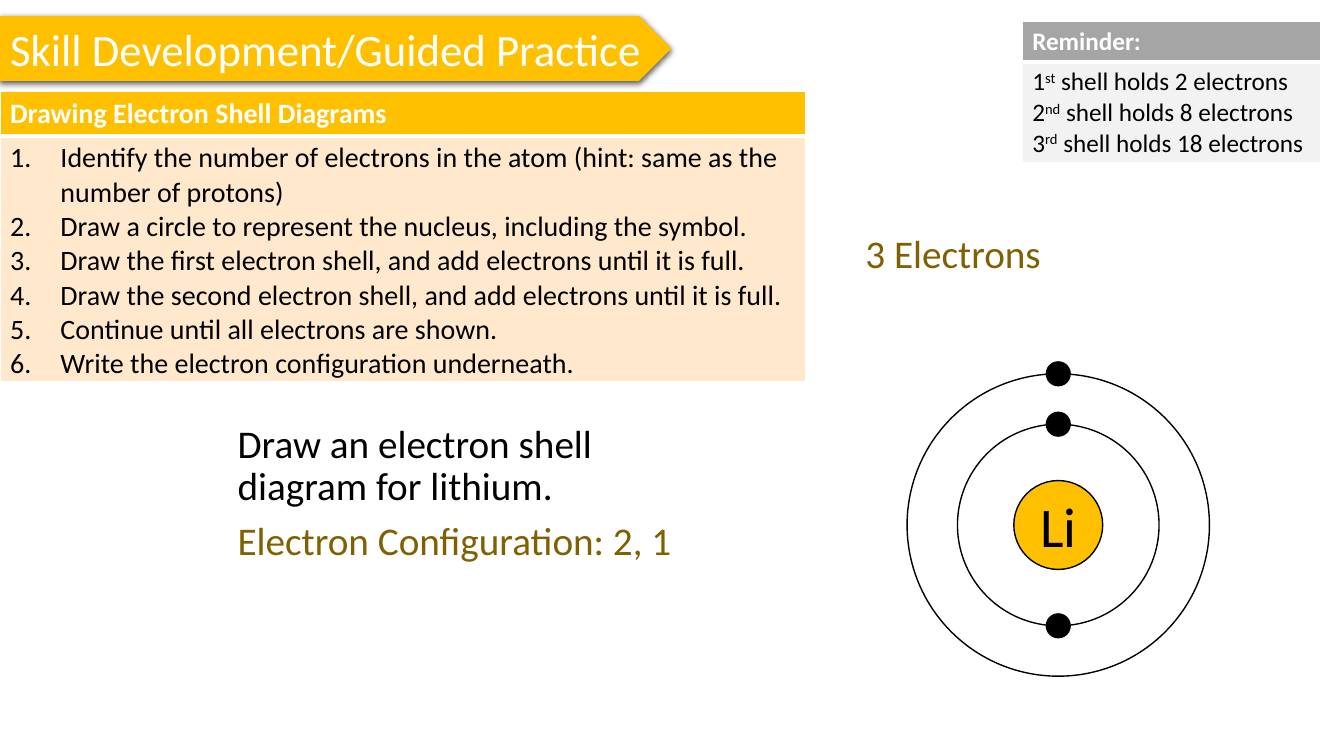
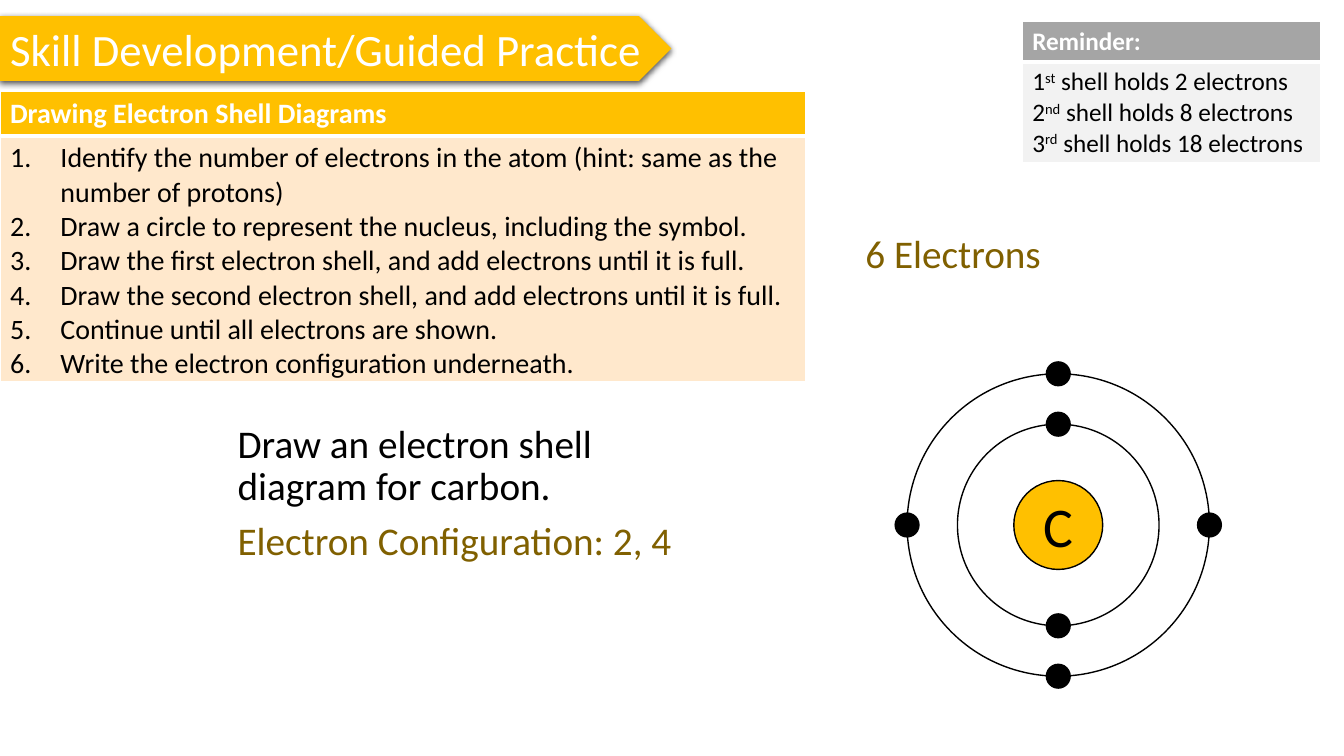
from math import cos, radians, sin

from lxml import etree
from pptx import Presentation
from pptx import util as u
from pptx.dml import color as dml
from pptx.enum import shapes, text
from pptx.oxml import ns

COLORS = {
    "gold": "FFC000",
    "cream": "FFE8CC",
    "grey": "A5A5A5",
    "pale": "F2F2F2",
    "answer": "806000",
    "black": "000000",
    "white": "FFFFFF",
}
FONT = "Calibri"
STEPS = [
    "Identify the number of electrons in the atom (hint: same as the number of protons)",
    "Draw a circle to represent the nucleus, including the symbol.",
    "Draw the first electron shell, and add electrons until it is full.",
    "Draw the second electron shell, and add electrons until it is full.",
    "Continue until all electrons are shown.",
    "Write the electron configuration underneath.",
]
CAPACITIES = [("1", "st", 2), ("2", "nd", 8), ("3", "rd", 18)]
ELEMENTS = [("lithium", "Li", (2, 1)), ("carbon", "C", (2, 4))]
SHELL_RADII = (2.54, 3.81)
CENTER = (26.67, 13.23)


def rgb(name):
    """Return the palette colour called name."""
    return dml.RGBColor.from_string(COLORS[name])


def write(paragraph, words, size, color="black", bold=False, raised=False):
    """Add one formatted run to a paragraph."""
    run = paragraph.add_run()
    run.text = words
    run.font.name = FONT
    run.font.size = u.Pt(size)
    run.font.bold = bold
    run.font.color.rgb = rgb(color)
    if raised:
        run.font._element.set("baseline", "30000")


def add_xml(parent, tag, **attributes):
    """Append a drawing element to parent and return it."""
    return etree.SubElement(parent, ns.qn(f"a:{tag}"), attributes)


def paragraphs(frame, count):
    """Yield count paragraphs, starting with the one the frame has."""
    yield frame.paragraphs[0]
    for _ in range(count - 1):
        yield frame.add_paragraph()


class Lesson:
    """Hold the lesson style and the slide being built."""

    def __init__(self):
        """Start an empty widescreen presentation."""
        self.deck = Presentation()
        self.deck.slide_width = u.Cm(33.87)
        self.deck.slide_height = u.Cm(19.05)
        self.slide = None

    def start(self, heading):
        """Add a slide with its heading on an arrow banner."""
        self.slide = self.deck.slides.add_slide(self.deck.slide_layouts[5])
        place = [u.Cm(n) for n in (0, 0.41, 16.92, 1.63)]
        banner = self.slide.shapes.add_shape(shapes.MSO_SHAPE.PENTAGON, *place)
        banner.fill.solid()
        banner.fill.fore_color.rgb = rgb("gold")
        banner.line.fill.background()
        banner.shadow.inherit = False
        effects = banner._element.spPr.find(ns.qn("a:effectLst"))
        shadow = add_xml(effects, "outerShdw", blurRad="57150", dist="19050",
                         dir="5400000", algn="ctr", rotWithShape="0")
        shade = add_xml(shadow, "srgbClr", val=COLORS["black"])
        add_xml(shade, "alpha", val="63000")
        title = self.slide.shapes.title
        title._element.addprevious(banner._element)
        title.left, title.top, title.width, title.height = place
        frame = title.text_frame
        frame.auto_size = text.MSO_AUTO_SIZE.NONE
        frame.word_wrap = False
        frame.vertical_anchor = text.MSO_ANCHOR.MIDDLE
        frame.paragraphs[0].alignment = text.PP_ALIGN.LEFT
        write(frame.paragraphs[0], heading, 32, "white")

    def note(self, words, left, top, width, color):
        """Add a large line of text."""
        box = self.slide.shapes.add_textbox(*map(u.Cm, (left, top, width, 2.18)))
        box.text_frame.word_wrap = True
        line = box.text_frame.paragraphs[0]
        line.line_spacing = 0.9
        line.space_after = u.Pt(12)
        write(line, words, 28, color)

    def panel(self, heading, size, place, header_height, fills):
        """Add a two-row table and return the text frame of its body."""
        left, top, width, height = place
        table = self.slide.shapes.add_table(2, 1, *map(u.Cm, place)).table
        table.rows[0].height = u.Cm(header_height)
        table.rows[1].height = u.Cm(height - header_height)
        header, body = table.cell(0, 0), table.cell(1, 0)
        for cell, fill, thick in ((header, fills[0], "lnB"), (body, fills[1], "lnT")):
            cell.fill.solid()
            cell.fill.fore_color.rgb = rgb(fill)
            self.outline(cell, thick)
        write(header.text_frame.paragraphs[0], heading, size, "white", bold=True)
        return body.text_frame

    def outline(self, cell, thick):
        """Give a cell white borders, with one thick side."""
        properties = cell._tc.get_or_add_tcPr()
        for index, side in enumerate(("lnL", "lnR", "lnT", "lnB")):
            weight = u.Pt(3 if side == thick else 1)
            border = add_xml(properties, side, w=str(weight))
            add_xml(add_xml(border, "solidFill"), "srgbClr", val=COLORS["white"])
            properties.insert(index, border)

    def steps(self):
        """Add the numbered drawing steps."""
        frame = self.panel("Drawing Electron Shell Diagrams", 20,
                           (0, 2.31, 20.29, 7.29), 1.12, ("gold", "cream"))
        for line, step in zip(paragraphs(frame, len(STEPS)), STEPS):
            layout = line._p.get_or_add_pPr()
            layout.set("marL", str(u.Cm(1.27)))
            layout.set("indent", str(u.Cm(-1.27)))
            add_xml(layout, "buAutoNum", type="arabicPeriod")
            write(line, step, 20)

    def reminder(self):
        """Add the shell capacities."""
        frame = self.panel("Reminder:", 18, (25.76, 0.53, 7.52, 3.58), 1.03,
                           ("grey", "pale"))
        for line, capacity in zip(paragraphs(frame, len(CAPACITIES)), CAPACITIES):
            number, ending, limit = capacity
            write(line, number, 18)
            write(line, ending, 18, raised=True)
            write(line, f" shell holds {limit} electrons", 18)

    def circle(self, parent, center, radius, fill=None):
        """Add an outlined circle around a centre."""
        x, y = center
        corner = (x - radius, y - radius, 2 * radius, 2 * radius)
        disc = parent.add_shape(shapes.MSO_SHAPE.OVAL, *map(u.Cm, corner))
        disc.shadow.inherit = False
        disc.line.color.rgb = rgb("black")
        disc.line.width = u.Pt(1)
        if fill:
            disc.fill.solid()
            disc.fill.fore_color.rgb = rgb(fill)
        else:
            disc.fill.background()
        return disc

    def atom(self, symbol, counts):
        """Add a nucleus and its shells with evenly spaced electrons."""
        nucleus = self.circle(self.slide.shapes, CENTER, 1.12, "gold")
        frame = nucleus.text_frame
        frame.word_wrap = False
        frame.vertical_anchor = text.MSO_ANCHOR.MIDDLE
        frame.paragraphs[0].alignment = text.PP_ALIGN.CENTER
        write(frame.paragraphs[0], symbol, 40)
        for radius, count in zip(SHELL_RADII, counts):
            shell = self.slide.shapes.add_group_shape().shapes
            self.circle(shell, CENTER, radius)
            for index in range(count):
                angle = radians(360 / count * index - 90)
                spot = (CENTER[0] + radius * cos(angle), CENTER[1] + radius * sin(angle))
                self.circle(shell, spot, 0.3, "black")


def main():
    """Build one practice slide for each element."""
    lesson = Lesson()
    for element, symbol, counts in ELEMENTS:
        lesson.start("Skill Development/Guided Practice")
        lesson.note(f"Draw an electron shell diagram for {element}.",
                    5.74, 10.57, 12.45, "black")
        lesson.steps()
        lesson.reminder()
        lesson.atom(symbol, counts)
        configuration = ", ".join(map(str, counts))
        lesson.note(f"Electron Configuration: {configuration}",
                    5.74, 13.03, 11.71, "answer")
        lesson.note(f"{sum(counts)} Electrons", 21.56, 5.79, 11.71, "answer")
    lesson.deck.save("out.pptx")


if __name__ == "__main__":
    main()
